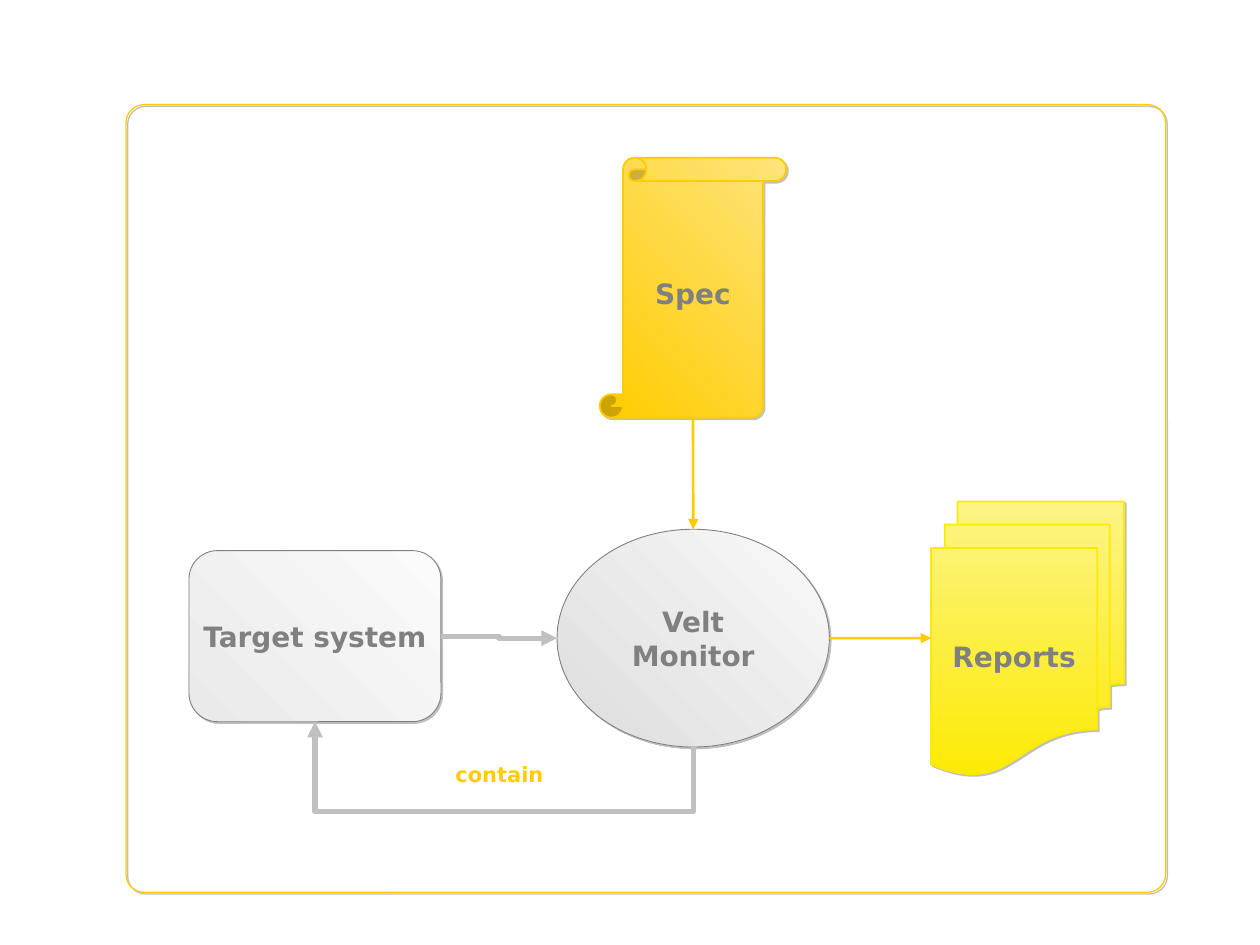
from lxml import etree
from pptx import Presentation, util as u
from pptx.dml.color import RGBColor
from pptx.enum import shapes as sh, text as tx
from pptx.oxml.ns import qn

FONT = "DejaVu Sans"
GRAY, SILVER, GOLD, LEMON = "808080", "C0C0C0", "FFCC00", "FCEA04"
FORM = sh.MSO_SHAPE
STRAIGHT, ELBOW = sh.MSO_CONNECTOR.STRAIGHT, sh.MSO_CONNECTOR.ELBOW

# name: form, (left, top, width, height) in cm, gradient, clockwise angle,
#       (line colour, points), text, (text size, colour)
NODES = {
    "frame": (FORM.ROUNDED_RECTANGLE, (2.54, 2.11, 20.96, 15.88), None, 0,
              (GOLD, 0.75), "", None),
    "monitor": (FORM.OVAL, (11.23, 10.67, 5.49, 4.39), ("F9F9F9", "DDDDDD"), 135,
                (GRAY, 0.5), "Velt\nMonitor", (16, GRAY)),
    "reports": (FORM.FLOWCHART_MULTIDOCUMENT, (18.77, 10.11, 3.89, 5.51),
                ("FCF487", LEMON), 90, (LEMON, 1), "Reports", (16, GRAY)),
    "target": (FORM.ROUNDED_RECTANGLE, (3.81, 11.1, 5.08, 3.45),
               ("FBFBFB", "EAEAEA"), 135, (GRAY, 0.5), "Target system", (16, GRAY)),
    "spec": (FORM.VERTICAL_SCROLL, (12.09, 3.18, 3.76, 5.24), ("FEE47C", GOLD), 135,
             (GOLD, 1), "Spec", (16, GRAY)),
}
LABEL = ("contain", (8.05, 14.92, 4.04, 1.37), (12, GOLD))
LOOP_LOW = 16.36  # cm, lowest level of the feedback line


def color(code):
    return RGBColor.from_string(code)


def add(parent, tag, **attrs):
    return etree.SubElement(parent, qn(tag), attrs)


def shade(shape):
    """Give the shape a hard half-transparent shadow to the lower right."""
    effects = add(shape._element.spPr, "a:effectLst")
    shadow = add(effects, "a:outerShdw", blurRad="0", dist=str(u.Pt(1.4)),
                 dir="2700000", algn="ctr", rotWithShape="0")
    add(add(shadow, "a:srgbClr", val=GRAY), "a:alpha", val="50000")


def write(shape, words, style):
    size, ink = style
    frame = shape.text_frame
    frame.text = words
    frame.word_wrap = False
    frame.vertical_anchor = tx.MSO_ANCHOR.MIDDLE
    for para in frame.paragraphs:
        para.alignment = tx.PP_ALIGN.CENTER
        for run in para.runs:
            font = run.font
            font.name, font.size, font.bold = FONT, u.Pt(size), True
            font.color.rgb = color(ink)


def node(slide, form, box, grad, angle, edge, words, style):
    shape = slide.shapes.add_shape(form, *map(u.Cm, box))
    if grad:
        shape.fill.gradient()
        shape.fill.gradient_angle = 360 - angle
        for stop, code, place in zip(shape.fill.gradient_stops, grad, (0, 1)):
            stop.color.rgb, stop.position = color(code), place
    else:
        shape.fill.background()
    shape.line.color.rgb, shape.line.width = color(edge[0]), u.Pt(edge[1])
    shade(shape)
    if words:
        write(shape, words, style)
    return shape


def arrow(slide, kind, start, end, ink, width):
    line = slide.shapes.add_connector(kind, *map(u.Cm, start + end))
    line.line.color.rgb, line.line.width = color(ink), u.Pt(width)
    add(line.line._get_or_add_ln(), "a:tailEnd", type="triangle")
    add(line._element.spPr, "a:effectLst")
    return line


def side(name, across, down):
    """Point on a node, as fractions of its width and height."""
    left, top, wide, high = NODES[name][1]
    return left + across * wide, top + down * high


def loop(slide, start, end, low, ink, width):
    """Draw an elbow that leaves downward, turns at low and comes up to end."""
    (x1, y1), (x2, y2) = start, end
    midx, midy = (x1 + x2) / 2, (y1 + y2) / 2
    rise, span = y1 - y2, x1 - x2
    line = arrow(slide, ELBOW, (midx - rise / 2, midy + span / 2),
                 (midx + rise / 2, midy - span / 2), ink, width)
    props = line._element.spPr
    props.find(qn("a:xfrm")).set("rot", str(270 * 60000))
    bend = round((y1 - low) / rise * 100000)
    add(props.find(qn("a:prstGeom")).find(qn("a:avLst")), "a:gd",
        name="adj1", fmla=f"val {bend}")


def main():
    deck = Presentation()
    deck.slide_width, deck.slide_height = u.Cm(25.4), u.Cm(19.05)
    slide = deck.slides.add_slide(deck.slide_layouts[6])

    made = {name: node(slide, *data) for name, data in NODES.items()}
    made["frame"].adjustments[0] = 0.023

    feed = arrow(slide, ELBOW, side("target", 1, 0.5), side("monitor", 0, 0.5), SILVER, 3)
    feed.begin_connect(made["target"], 3)
    loop(slide, side("monitor", 0.5, 1), side("target", 0.5, 1), LOOP_LOW, SILVER, 3)
    arrow(slide, STRAIGHT, side("spec", 0.5, 1), side("monitor", 0.5, 0), GOLD, 1.5)
    arrow(slide, STRAIGHT, side("monitor", 1, 0.5), side("reports", 0, 0.5), GOLD, 1.5)

    words, box, style = LABEL
    label = slide.shapes.add_textbox(*map(u.Cm, box))
    label.fill.solid()
    label.fill.fore_color.rgb = color("FFFFFF")
    write(label, words, style)

    deck.save("out.pptx")


if __name__ == "__main__":
    main()
